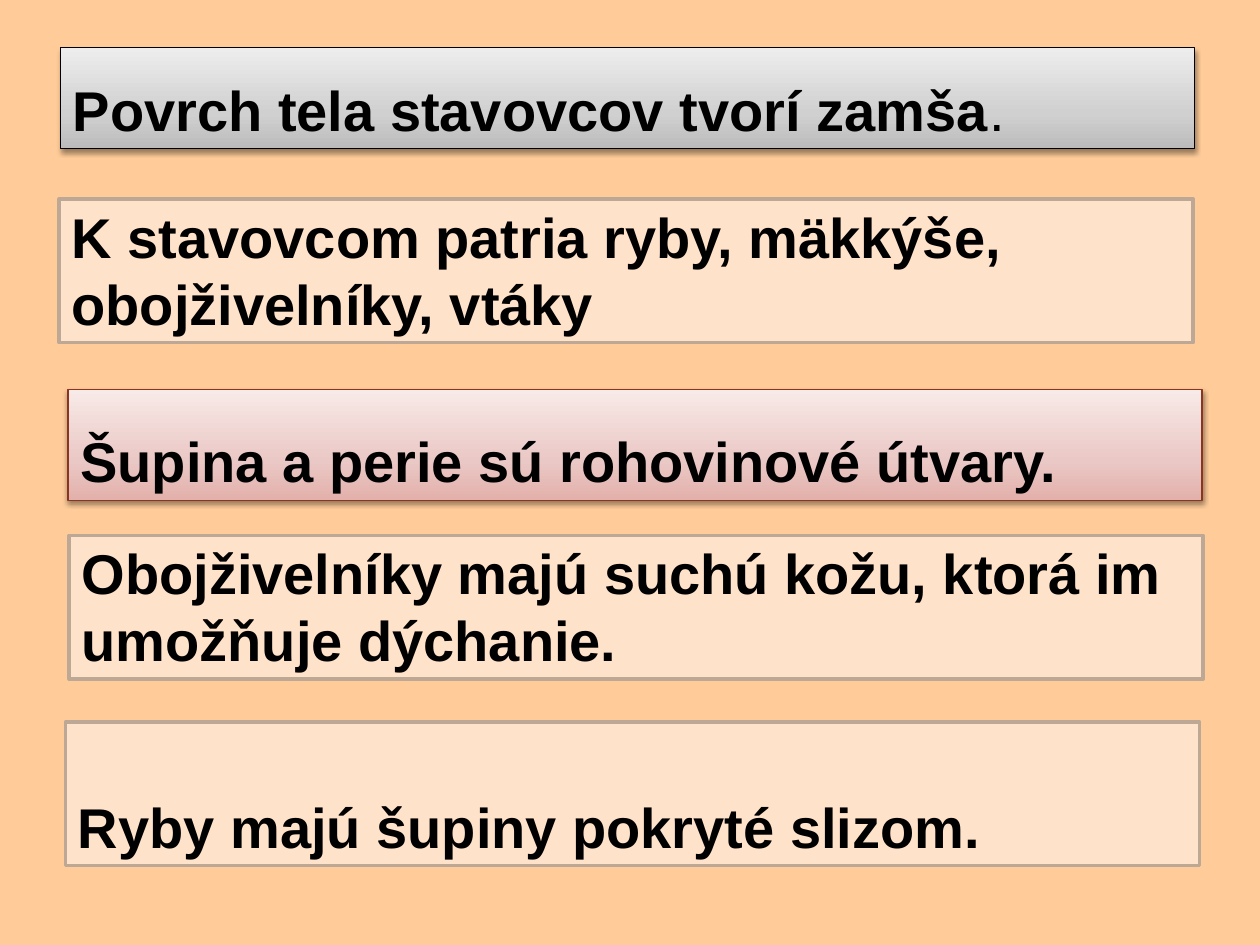
from copy import deepcopy

from lxml.etree import SubElement
from pptx import Presentation
from pptx.dml.color import RGBColor
from pptx.enum.shapes import MSO_SHAPE
from pptx.enum.text import MSO_ANCHOR, PP_ALIGN
from pptx.oxml.ns import qn
from pptx.util import Inches, Pt

COLORS = {
    "background": "FFCC99",
    "panel": "FFE2CA",
    "panel_line": "BDA795",
    "red_line": "8B3520",
    "black": "000000",
}
# Gradient stops run from the bottom edge to the top edge
GRADIENTS = {
    "gray": [(0, "BCBCBC"), (0.35, "D0D0D0"), (1, "EDEDED")],
    "red": [(0, "E3B0AB"), (0.35, "EAC8C5"), (1, "F8EAE8")],
}
STYLES = {
    "gray": {"line": "black", "width": 0.75},
    "red": {"line": "red_line", "width": 0.75},
    "plain": {"line": "panel_line", "width": 2},
}
BOX_WIDTH = 9
FONT = {"name": "Arial", "size": Pt(32), "bold": True}
FRAME = {"word_wrap": True, "vertical_anchor": MSO_ANCHOR.BOTTOM}

# Style, left, top, height, runs of (text, bold)
STATEMENTS = [
    ("gray", 0.48, 0.38, 0.8,
     [("Povrch tela stavovcov tvorí zamša", True), (".", False)]),
    ("plain", 0.47, 1.58, 1.14,
     [("K stavovcom patria ryby, mäkkýše, obojživelníky, vtáky", True)]),
    ("red", 0.54, 3.09, 0.88,
     [("Šupina a perie sú rohovinové útvary.", True)]),
    ("plain", 0.55, 4.25, 1.14,
     [("Obojživelníky majú suchú kožu, ktorá im umožňuje dýchanie.", True)]),
    ("plain", 0.52, 5.73, 1.14,
     [("Ryby majú šupiny pokryté slizom.", True)]),
]


def set_all(target, values):
    for name, value in values.items():
        setattr(target, name, value)


def fill_gradient(shape, stops):
    shape.fill.gradient()
    shape.fill.gradient_angle = 90
    stop_list = shape.element.spPr.find(".//" + qn("a:gsLst"))
    while len(stop_list) < len(stops):
        stop_list.append(deepcopy(stop_list[0]))
    for stop, (position, color) in zip(shape.fill.gradient_stops, stops):
        stop.position = position
        stop.color.rgb = RGBColor.from_string(color)


def add_shadow(shape):
    effects = shape.element.spPr.find(qn("a:effectLst"))
    shadow = SubElement(effects, qn("a:outerShdw"), blurRad=str(Pt(3.1)),
                        dist=str(Pt(1.6)), dir="5400000", rotWithShape="0")
    color = SubElement(shadow, qn("a:srgbClr"), val=COLORS["black"])
    SubElement(color, qn("a:alpha"), val="38000")


def add_statement(slide, style, left, top, height, runs):
    shape = slide.shapes.add_shape(
        MSO_SHAPE.RECTANGLE, Inches(left), Inches(top),
        Inches(BOX_WIDTH), Inches(height))
    shape.shadow.inherit = False

    # Outline and fill
    shape.line.color.rgb = RGBColor.from_string(COLORS[STYLES[style]["line"]])
    shape.line.width = Pt(STYLES[style]["width"])
    if style in GRADIENTS:
        fill_gradient(shape, GRADIENTS[style])
        add_shadow(shape)
    else:
        shape.fill.solid()
        shape.fill.fore_color.rgb = RGBColor.from_string(COLORS["panel"])

    # Text
    set_all(shape.text_frame, FRAME)
    paragraph = shape.text_frame.paragraphs[0]
    paragraph.alignment = PP_ALIGN.LEFT
    for text, bold in runs:
        run = paragraph.add_run()
        run.text = text
        set_all(run.font, {**FONT, "bold": bold})
        run.font.color.rgb = RGBColor.from_string(COLORS["black"])


def main():
    presentation = Presentation()
    presentation.slide_width = Inches(10)
    presentation.slide_height = Inches(7.5)
    slide = presentation.slides.add_slide(presentation.slide_layouts[6])

    # Background
    background = slide.background.fill
    background.solid()
    background.fore_color.rgb = RGBColor.from_string(COLORS["background"])

    # Statements from top to bottom
    for statement in STATEMENTS:
        add_statement(slide, *statement)

    presentation.save("out.pptx")


if __name__ == "__main__":
    main()
